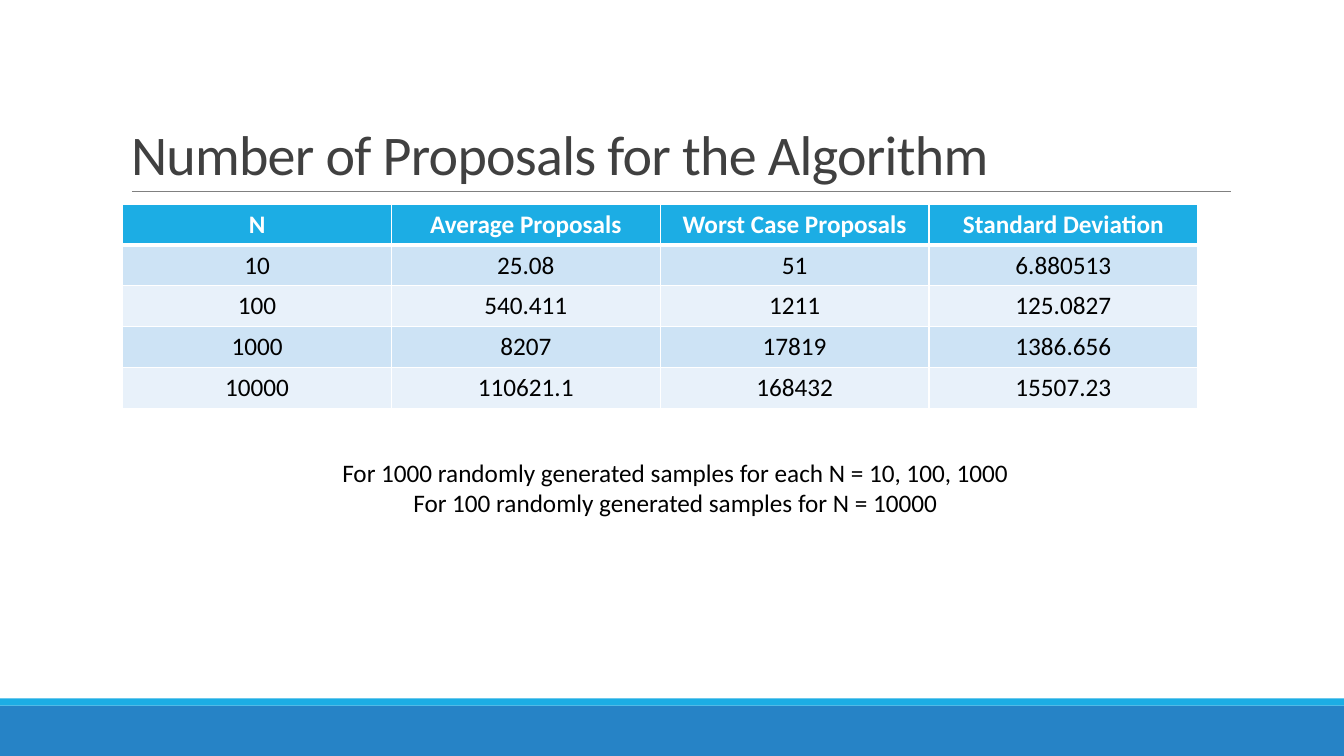
from dataclasses import dataclass

from lxml import etree
from pptx import Presentation
from pptx.dml.color import RGBColor
from pptx.enum.shapes import MSO_CONNECTOR, MSO_SHAPE
from pptx.enum.text import MSO_ANCHOR, MSO_AUTO_SIZE, PP_ALIGN
from pptx.oxml.ns import qn
from pptx.util import Inches, Pt

RECTANGLE = MSO_SHAPE.RECTANGLE
STRAIGHT = MSO_CONNECTOR.STRAIGHT
BOTTOM = MSO_ANCHOR.BOTTOM
GROW = MSO_AUTO_SIZE.SHAPE_TO_FIT_TEXT
LEFT, CENTER = PP_ALIGN.LEFT, PP_ALIGN.CENTER
TITLE_ONLY = 5
GRID_COLUMNS, GRID_ROWS = 160, 90


@dataclass(frozen=True)
class Theme:
    font: str = "Calibri"
    title_size: float = 40
    body_size: float = 18
    title: str = "404040"
    text: str = "000000"
    white: str = "FFFFFF"
    accent: str = "1CADE4"
    footer: str = "2683C6"
    rule: str = "808080"
    bands: tuple = ("CDE3F5", "E8F1FA")


class SlideBuilder:
    def __init__(self, presentation, theme):
        self.theme = theme
        self.column = presentation.slide_width / GRID_COLUMNS
        self.row = presentation.slide_height / GRID_ROWS
        self.slide = presentation.slides.add_slide(presentation.slide_layouts[TITLE_ONLY])

    def place(self, left, top, width, height):
        return (round(left * self.column), round(top * self.row),
                round(width * self.column), round(height * self.row))

    def add_run(self, paragraph, text, size, color, bold=False, align=CENTER):
        paragraph.alignment = align
        run = paragraph.add_run()
        run.text = text
        run.font.name = self.theme.font
        run.font.size = Pt(size)
        run.font.bold = bold
        run.font.color.rgb = RGBColor.from_string(color)
        return run

    def title(self, text, *area):
        shape = self.slide.shapes.title
        shape.left, shape.top, shape.width, shape.height = self.place(*area)
        frame = shape.text_frame
        frame.word_wrap = True
        frame.vertical_anchor = BOTTOM
        paragraph = frame.paragraphs[0]
        paragraph.line_spacing = 0.85
        run = self.add_run(paragraph, text, self.theme.title_size, self.theme.title, align=LEFT)
        run.font._element.set("spc", "-50")

    def bar(self, color, *area):
        shape = self.slide.shapes.add_shape(RECTANGLE, *self.place(*area))
        shape.shadow.inherit = False
        shape.fill.solid()
        shape.fill.fore_color.rgb = RGBColor.from_string(color)
        shape.line.fill.background()

    def rule(self, left, top, width):
        x, y, length, _ = self.place(left, top, width, 0)
        connector = self.slide.shapes.add_connector(STRAIGHT, x, y, x + length, y)
        connector.line.color.rgb = RGBColor.from_string(self.theme.rule)
        connector.line.width = Pt(0.5)
        etree.SubElement(connector._element.spPr, qn("a:effectLst"))

    def border(self, cell, side, width):
        properties = cell._tc.get_or_add_tcPr()
        line = etree.SubElement(properties, qn(f"a:ln{side}"), w=str(Pt(width)))
        fill = etree.SubElement(line, qn("a:solidFill"))
        etree.SubElement(fill, qn("a:srgbClr"), val=self.theme.white)

    def table(self, records, left, top, column_width, row_height):
        rows, columns = len(records), len(records[0])
        area = self.place(left, top, columns * column_width, rows * row_height)
        table = self.slide.shapes.add_table(rows, columns, *area).table
        for row_index, record in enumerate(records):
            header = row_index == 0
            fill = self.theme.accent if header else self.theme.bands[(row_index - 1) % 2]
            color = self.theme.white if header else self.theme.text
            for column_index, value in enumerate(record):
                cell = table.cell(row_index, column_index)
                self.add_run(cell.text_frame.paragraphs[0], value,
                             self.theme.body_size, color, header)
                for side in "LRTB":
                    heavy = (header and side == "B") or (row_index == 1 and side == "T")
                    self.border(cell, side, 3 if heavy else 1)
                cell.fill.solid()
                cell.fill.fore_color.rgb = RGBColor.from_string(fill)

    def caption(self, lines, *area):
        frame = self.slide.shapes.add_textbox(*self.place(*area)).text_frame
        frame.word_wrap = True
        frame.auto_size = GROW
        for index, line in enumerate(lines):
            paragraph = frame.add_paragraph() if index else frame.paragraphs[0]
            self.add_run(paragraph, line, self.theme.body_size, self.theme.text)


PROPOSALS = (
    ("N", "Average Proposals", "Worst Case Proposals", "Standard Deviation"),
    ("10", "25.08", "51", "6.880513"),
    ("100", "540.411", "1211", "125.0827"),
    ("1000", "8207", "17819", "1386.656"),
    ("10000", "110621.1", "168432", "15507.23"),
)
SAMPLES = (
    "For 1000 randomly generated samples for each N = 10, 100, 1000",
    "For 100 randomly generated samples for N = 10000",
)


def main():
    presentation = Presentation()
    presentation.slide_width = Inches(13.33)
    presentation.slide_height = Inches(7.5)
    theme = Theme()
    builder = SlideBuilder(presentation, theme)
    builder.bar(theme.footer, 0, 84, GRID_COLUMNS, 6)
    builder.bar(theme.accent, 0, 83.15, GRID_COLUMNS, 0.85)
    builder.rule(15.7, 22.8, 130.8)
    builder.title("Number of Proposals for the Algorithm", 14.4, 3.7, 132, 19.1)
    builder.table(PROPOSALS, 14.6, 24.3, 32, 4.87)
    builder.caption(SAMPLES, 14.4, 53.8, 132, 8.5)
    presentation.save("out.pptx")


if __name__ == "__main__":
    main()
